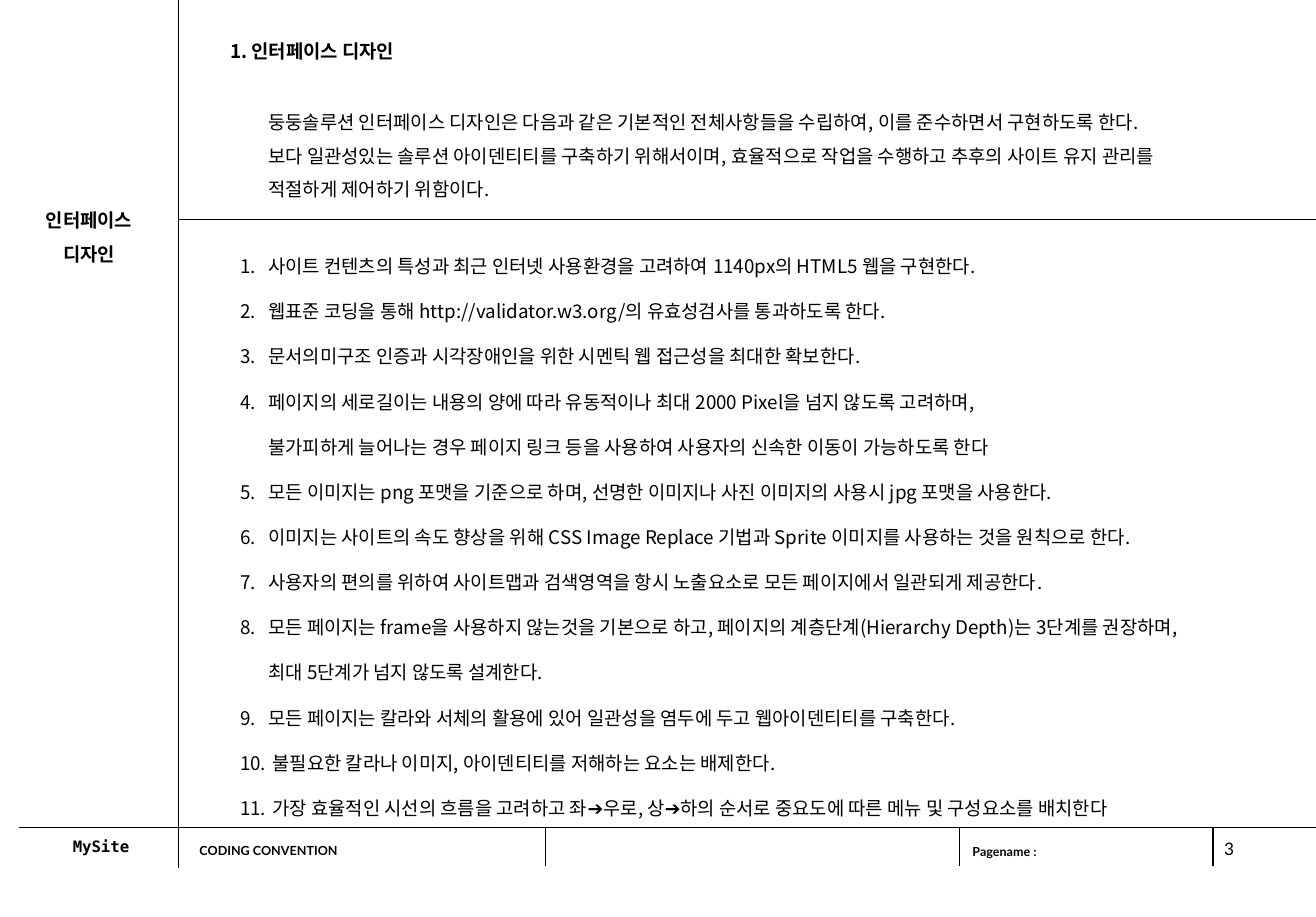
from lxml import etree
from pptx import Presentation
from pptx.dml import color
from pptx.enum import shapes, text
from pptx.oxml import ns
from pptx.util import Inches, Pt

KOREAN = "Noto Sans CJK KR"
LATIN = "Lato"
MONO = "DejaVu Sans Mono"
BLACK = "000000"
WHITE = "FFFFFF"
WIDTH, HEIGHT = 839.75 / 72, 585 / 72
SIDEBAR_X, RULE_Y, FOOTER_Y = 1.58, 1.94, 7.33

INTRO = [
    "둥둥솔루션 인터페이스 디자인은 다음과 같은 기본적인 전체사항들을 수립하여, 이를 준수하면서 구현하도록 한다.",
    "보다 일관성있는 솔루션 아이덴티티를 구축하기 위해서이며, 효율적으로 작업을 수행하고 추후의 사이트 유지 관리를",
    "적절하게 제어하기 위함이다.",
]
GUIDELINES = [
    "사이트 컨텐츠의 특성과 최근 인터넷 사용환경을 고려하여 1140px의 HTML5 웹을 구현한다.",
    "웹표준 코딩을 통해 http://validator.w3.org/의 유효성검사를 통과하도록 한다.",
    "문서의미구조 인증과 시각장애인을 위한 시멘틱 웹 접근성을 최대한 확보한다.",
    "페이지의 세로길이는 내용의 양에 따라 유동적이나 최대 2000 Pixel을 넘지 않도록 고려하며,\v"
    "불가피하게 늘어나는 경우 페이지 링크 등을 사용하여 사용자의 신속한 이동이 가능하도록 한다",
    "모든 이미지는 png 포맷을 기준으로 하며, 선명한 이미지나 사진 이미지의 사용시 jpg 포맷을 사용한다.",
    "이미지는 사이트의 속도 향상을 위해 CSS Image Replace 기법과 Sprite 이미지를 사용하는 것을 원칙으로 한다.",
    "사용자의 편의를 위하여 사이트맵과 검색영역을 항시 노출요소로 모든 페이지에서 일관되게 제공한다.",
    "모든 페이지는 frame을 사용하지 않는것을 기본으로 하고, 페이지의 계층단계(Hierarchy Depth)는 3단계를 권장하며,\v"
    "최대 5단계가 넘지 않도록 설계한다.",
    "모든 페이지는 칼라와 서체의 활용에 있어 일관성을 염두에 두고 웹아이덴티티를 구축한다.",
    " 불필요한 칼라나 이미지, 아이덴티티를 저해하는 요소는 배제한다.",
    " 가장 효율적인 시선의 흐름을 고려하고 좌➔우로, 상➔하의 순서로 중요도에 따른 메뉴 및 구성요소를 배치한다",
]


def rgb(value):
    """Return the colour for a hex string."""
    return color.RGBColor.from_string(value)


def add_rule(slide, start, end, width):
    """Draw a black straight line between two points."""
    points = [Inches(value) for value in (*start, *end)]
    line = slide.shapes.add_connector(shapes.MSO_CONNECTOR.STRAIGHT, *points)
    line.line.color.rgb = rgb(BLACK)
    line.line.width = Pt(width)
    etree.SubElement(line._element.spPr, ns.qn("a:effectLst"))


def format_text(frame, lines, font, size, bold=False, align="LEFT", spacing=None, before=0):
    """Fill a text frame with lines and format each paragraph and run."""
    frame.text = "\n".join(lines)
    for paragraph in frame.paragraphs:
        paragraph.alignment = text.PP_ALIGN[align]
        paragraph.line_spacing = spacing
        paragraph.space_before = Pt(before)
        for run in paragraph.runs:
            run.font.name = font
            run.font.size = Pt(size)
            run.font.bold = bold
            run.font.color.rgb = rgb(BLACK)
            properties = run.font._element
            properties.set("kern", "0")
            east_asian = etree.Element(ns.qn("a:ea"), typeface=font)
            properties.find(ns.qn("a:latin")).addnext(east_asian)


def add_text(slide, box, lines, font, size, wrap=False, **style):
    """Add a text box that grows with its text and return its frame."""
    frame = slide.shapes.add_textbox(*map(Inches, box)).text_frame
    frame.word_wrap = wrap
    frame.auto_size = text.MSO_AUTO_SIZE.SHAPE_TO_FIT_TEXT
    format_text(frame, lines, font, size, **style)
    return frame


def number_paragraphs(frame):
    """Number the paragraphs with a hanging indent."""
    indent = Inches(0.25)
    for paragraph in frame.paragraphs:
        properties = paragraph._p.get_or_add_pPr()
        properties.set("marL", str(indent))
        properties.set("indent", str(-indent))
        etree.SubElement(properties, ns.qn("a:buAutoNum"), type="arabicPeriod")


def add_footer(slide, left, top, width, height):
    """Place the site name, document title, page name and page number."""
    for x, weight in ((4.66, 0.25), (8.33, 0.25), (10.58, 0.75)):
        add_rule(slide, (left + x, top), (left + x, top + height), weight)
    add_text(slide, (left + 1.5, top + 0.09, 3, 0.24), ["CODING CONVENTION"], LATIN, 8,
             wrap=True, bold=True, before=5)
    add_text(slide, (left + 8.35, top + 0.1, 0.85, 0.24), ["Pagename :"], LATIN, 8, bold=True)
    add_text(slide, (left + 10.58, top + 0.05, 0.5, 0.31), ["3"], LATIN, 11,
             wrap=True, before=6.9)

    site_box = map(Inches, (left, top, 1.45, height))
    site = slide.shapes.add_shape(shapes.MSO_SHAPE.RECTANGLE, *site_box)
    site.shadow.inherit = False
    site.fill.solid()
    site.fill.fore_color.rgb = rgb(WHITE)
    site.line.fill.background()
    site.text_frame.word_wrap = False
    site.text_frame.vertical_anchor = text.MSO_ANCHOR.MIDDLE
    format_text(site.text_frame, ["MySite"], MONO, 10, bold=True, align="CENTER")
    add_rule(slide, (left, top), (left + width, top), 0.75)


def add_sidebar(slide, left, top, width, height):
    """Place the section name and the line on its right."""
    right = left + width
    add_rule(slide, (right, top + height), (right, top), 0.5)
    add_text(slide, (left + 0.29, top + 1.7, 1, 0.7), ["인터페이스", "디자인"], KOREAN, 12,
             bold=True, align="CENTER", spacing=1.5)


def add_introduction(slide, left, top, width, height):
    """Place the heading and introduction above their bottom line."""
    bottom = top + height
    add_rule(slide, (left, bottom), (left + width, bottom), 0.5)
    add_text(slide, (left + 0.36, top + 0.2, 1.69, 0.4), ["1. 인터페이스 디자인"], KOREAN, 12,
             wrap=True, bold=True, spacing=1.5)
    add_text(slide, (left + 0.7, top + 0.83, 8.24, 1), INTRO, KOREAN, 12, spacing=1.5)


def add_guidelines(slide, left, top, width, height):
    """Place the numbered guidelines."""
    frame = add_text(slide, (left, top, width, height), GUIDELINES, KOREAN, 12, spacing=2.0)
    number_paragraphs(frame)


def main():
    """Build the slide and save it."""
    presentation = Presentation()
    presentation.slide_width = Inches(WIDTH)
    presentation.slide_height = Inches(HEIGHT)
    slide = presentation.slides.add_slide(presentation.slide_layouts[6])
    add_footer(slide, 0.17, FOOTER_Y, WIDTH - 0.17, 0.34)
    add_sidebar(slide, 0, 0, SIDEBAR_X, 7.69)
    add_introduction(slide, SIDEBAR_X, 0, WIDTH - SIDEBAR_X, RULE_Y)
    add_guidelines(slide, SIDEBAR_X + 0.45, RULE_Y + 0.07, 9.03, 5.3)
    presentation.save("out.pptx")


if __name__ == "__main__":
    main()
